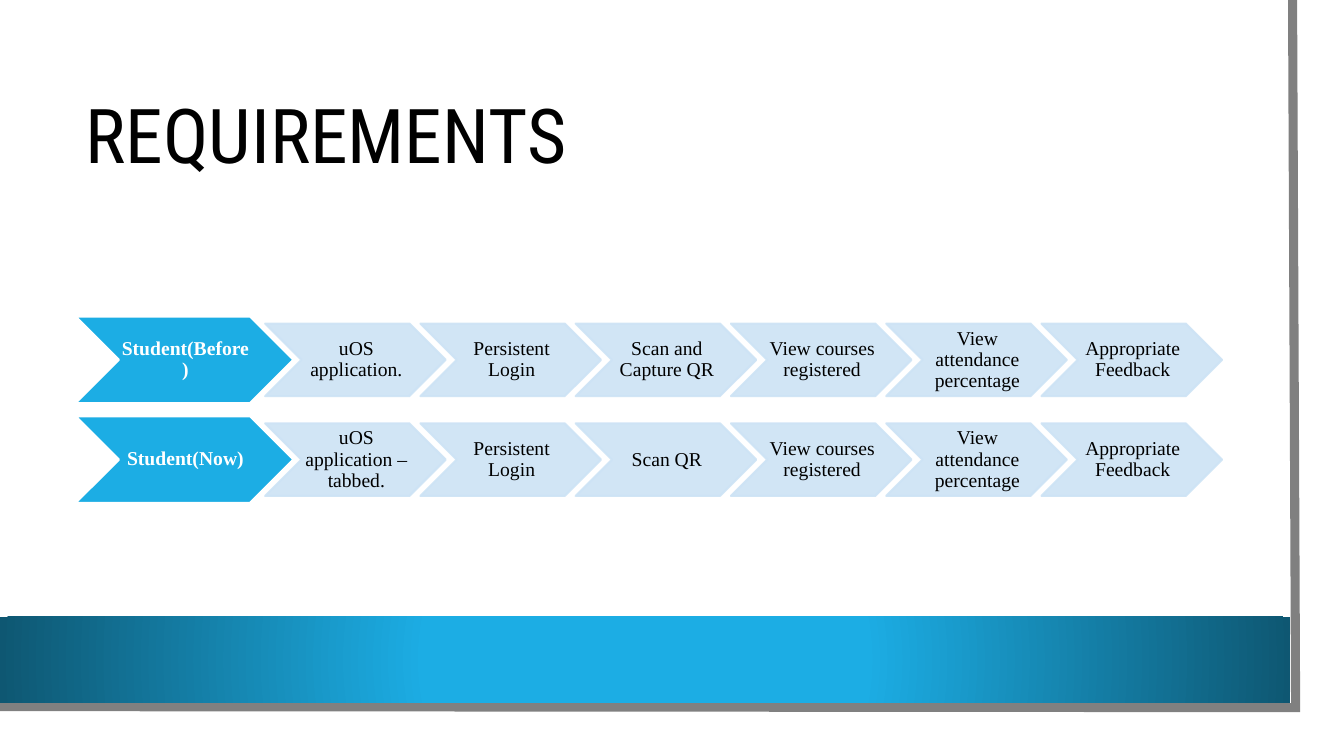
from lxml import etree
from pptx import Presentation
from pptx import util as u
from pptx.dml.color import RGBColor
from pptx.enum import shapes, text
from pptx.oxml import parse_xml
from pptx.oxml.ns import nsdecls, qn

PX = 9144
COLORS = {
    "white": "FFFFFF",
    "black": "000000",
    "frame": "808080",
    "blue": "1CADE4",
    "deep": "0E5772",
    "pale": "CDE3F5",
}
HEAD = {"left": 75, "width": 216, "height": 86, "fill": "blue", "line": "white",
        "alpha": 100, "font": {"color": "white", "bold": True}}
STEP = {"left": 263, "width": 179, "height": 72, "fill": "pale", "line": "pale",
        "alpha": 90, "font": {"color": "black", "bold": False}}
STEP_PITCH = 154
ROW_TOP = 314
ROW_PITCH = 99
ROWS = [
    ("Student(Before)", ["uOS application.", "Persistent Login", "Scan and Capture QR",
                         "View courses registered", "View attendance percentage",
                         "Appropriate Feedback"]),
    ("Student(Now)", ["uOS application – tabbed.", "Persistent Login", "Scan QR",
                      "View courses registered", "View attendance percentage",
                      "Appropriate Feedback"]),
]


def rgb(name):
    return RGBColor.from_string(COLORS[name])


def set_attrs(obj, values):
    for name, value in values.items():
        setattr(obj, name, value)


def write(tf, words, align, name, size, color, bold=False):
    set_attrs(tf, {"word_wrap": True, "vertical_anchor": text.MSO_ANCHOR.MIDDLE,
                   "auto_size": text.MSO_AUTO_SIZE.NONE})
    p = tf.paragraphs[0]
    set_attrs(p, {"alignment": align, "line_spacing": 0.9})
    r = p.add_run()
    r.text = words
    set_attrs(r.font, {"name": name, "size": u.Pt(size), "bold": bold})
    r.font.color.rgb = rgb(color)


def add_block(s, kind, x, y, w, h):
    sp = s.shapes.add_shape(kind, x * PX, y * PX, w * PX, h * PX)
    sp.shadow.inherit = False
    sp.line.fill.background()
    return sp


def set_alpha(fill_parent, percent):
    for color in fill_parent.iter(qn("a:srgbClr")):
        etree.SubElement(color, qn("a:alpha")).set("val", str(percent * 1000))


def add_frame(s):
    builder = s.shapes.build_freeform(1282, 0, scale=PX)
    builder.add_line_segments([(1285, 702), (-3, 701)], close=False)
    sp = builder.convert_to_shape()
    sp.shadow.inherit = False
    sp.fill.background()
    sp.line.color.rgb = rgb("frame")
    sp.line.width = u.Pt(6.5)
    etree.SubElement(sp.line._get_or_add_ln(), qn("a:miter")).set("lim", "800000")


def add_band(s):
    sp = add_block(s, shapes.MSO_SHAPE.RECTANGLE, 0, 612, 1280, 85)
    sp.fill.gradient()
    for stop, position, color in zip(sp.fill.gradient_stops, (0.34, 1), ("blue", "deep")):
        stop.position = position
        stop.color.rgb = rgb(color)
    lin = next(sp.element.iter(qn("a:lin")))
    lin.getparent().replace(lin, parse_xml(
        f'<a:path {nsdecls("a")} path="circle">'
        '<a:fillToRect l="50000" t="50000" r="50000" b="50000"/></a:path>'))


def add_title(s, words):
    sp = s.shapes.title
    set_attrs(sp, {"left": 75 * PX, "top": 75 * PX, "width": 1137 * PX, "height": 126 * PX})
    write(sp.text_frame, words, text.PP_ALIGN.LEFT, "Roboto Condensed", 54, "black")
    sp.element.getparent().append(sp.element)


def add_chevron(s, words, style, middle, index=0):
    x = style["left"] + index * STEP_PITCH
    y = middle - style["height"] // 2
    sp = add_block(s, shapes.MSO_SHAPE.CHEVRON, x, y, style["width"], style["height"])
    sp.fill.solid()
    sp.fill.fore_color.rgb = rgb(style["fill"])
    sp.line.color.rgb = rgb(style["line"])
    sp.line.width = u.Pt(1.5)
    if style["alpha"] < 100:
        set_alpha(sp.element.spPr, style["alpha"])
    tf = sp.text_frame
    set_attrs(tf, {"margin_left": 2 * PX, "margin_top": PX,
                   "margin_right": 0, "margin_bottom": PX})
    write(tf, words, text.PP_ALIGN.CENTER, "Times New Roman", 14, **style["font"])


def add_row(s, heading, steps, top):
    middle = top + HEAD["height"] // 2
    add_chevron(s, heading, HEAD, middle)
    for i, step in enumerate(steps):
        add_chevron(s, step, STEP, middle, i)


def main():
    prs = Presentation()
    set_attrs(prs, {"slide_width": 1333 * PX, "slide_height": 750 * PX})
    s = prs.slides.add_slide(prs.slide_layouts[5])
    page = add_block(s, shapes.MSO_SHAPE.RECTANGLE, 0, 0, 1310, 727)
    page.fill.solid()
    page.fill.fore_color.rgb = rgb("white")
    add_frame(s)
    add_band(s)
    add_title(s, "REQUIREMENTS")
    for i, (heading, steps) in enumerate(ROWS):
        add_row(s, heading, steps, ROW_TOP + i * ROW_PITCH)
    prs.save("out.pptx")


if __name__ == "__main__":
    main()
